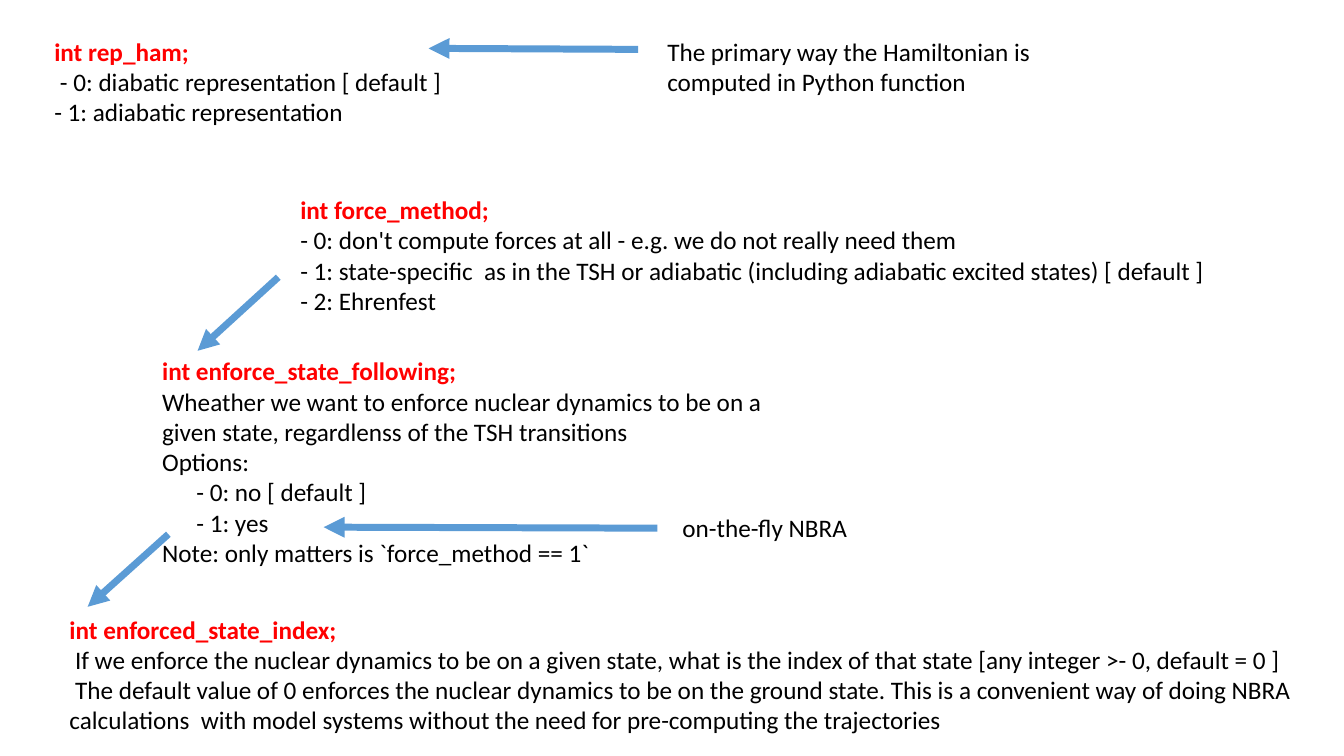
import pptx
import pptx.dml.color
import pptx.enum.dml
import pptx.enum.shapes
import pptx.enum.text
import pptx.oxml.ns
import pptx.util
from lxml import etree
from pptx.util import Inches

COLORS = {"declaration": "FF0000", "body": "000000", "arrow": "5B9BD5"}
FONT = "Calibri"
OPTION_INDENT = Inches(0.34)

# Each parameter: box, declaration, description lines, indices of indented lines
PARAMETERS = [
    ((0.44, 0.31, 4.63, 1.01), "int rep_ham;", [
        " - 0: diabatic representation [ default ]",
        "- 1: adiabatic representation",
    ], ()),
    ((2.88, 1.88, 9.44, 1.31), "int force_method;", [
        "- 0: don't compute forces at all - e.g. we do not really need them",
        "- 1: state-specific  as in the TSH or adiabatic (including adiabatic "
        "excited states) [ default ]",
        "- 2: Ehrenfest",
    ], ()),
    ((1.51, 3.48, 6.67, 2.22), "int enforce_state_following;", [
        "Wheather we want to enforce nuclear dynamics to be on a given state, "
        "regardlenss of the TSH transitions",
        "Options:",
        "- 0: no [ default ]",
        "- 1: yes",
        "Note: only matters is `force_method == 1`",
    ], (2, 3)),
    ((0.59, 6.04, 13, 1.31), "int enforced_state_index;", [
        " If we enforce the nuclear dynamics to be on a given state, what is the "
        "index of that state [any integer >- 0, default = 0 ]",
        " The default value of 0 enforces the nuclear dynamics to be on the ground "
        "state. This is a convenient way of doing NBRA calculations  with model "
        "systems without the need for pre-computing the trajectories",
    ], ()),
]

REMARKS = [
    ((6.52, 0.31, 4.63, 0.71),
     "The primary way the Hamiltonian is computed in Python function", True),
    ((6.67, 5.03, 1.86, 0.4), "on-the-fly NBRA", False),
]

ARROWS = [
    ((6.33, 0.49), (4.25, 0.48)),
    ((2.76, 2.75), (1.96, 3.48)),
    ((6.52, 5.24), (3.21, 5.23)),
    ((1.67, 5.3), (0.87, 6.02)),
]


def add_text(slide, box, lines, wrap=True):
    """Place lines of body text in the box and return their paragraphs."""
    frame = slide.shapes.add_textbox(*map(Inches, box)).text_frame
    frame.word_wrap = wrap
    frame.auto_size = pptx.enum.text.MSO_AUTO_SIZE.SHAPE_TO_FIT_TEXT
    frame.text = "\n".join(lines)
    for paragraph in frame.paragraphs:
        for run in paragraph.runs:
            run.font.name = FONT
            run.font.size = pptx.util.Pt(18)
            run.font.color.rgb = pptx.dml.color.RGBColor.from_string(COLORS["body"])
    return frame.paragraphs


def add_parameter(slide, box, declaration, description, indented):
    heading, *details = add_text(slide, box, [declaration, *description])
    heading_font = heading.runs[0].font
    heading_font.bold = True
    heading_font.color.rgb = pptx.dml.color.RGBColor.from_string(COLORS["declaration"])
    for index in indented:
        properties = details[index]._p.get_or_add_pPr()
        properties.set("marL", str(OPTION_INDENT))
        properties.set("indent", "0")


def add_arrow(slide, start, end):
    arrow = slide.shapes.add_connector(
        pptx.enum.shapes.MSO_CONNECTOR.STRAIGHT, *map(Inches, start + end))
    arrow.line.width = pptx.util.Pt(5)
    arrow.line.color.rgb = pptx.dml.color.RGBColor.from_string(COLORS["arrow"])
    qn = pptx.oxml.ns.qn
    etree.SubElement(arrow.line._get_or_add_ln(), qn("a:tailEnd"), type="triangle")
    etree.SubElement(arrow._element.spPr, qn("a:effectLst"))


def build_parameter_slide(slide):
    for parameter in PARAMETERS:
        add_parameter(slide, *parameter)
    for box, remark, wrap in REMARKS:
        add_text(slide, box, [remark], wrap)
    for start, end in ARROWS:
        add_arrow(slide, start, end)


def main():
    presentation = pptx.Presentation()
    presentation.slide_width = Inches(13.33)
    presentation.slide_height = Inches(7.5)
    build_parameter_slide(presentation.slides.add_slide(presentation.slide_layouts[6]))
    presentation.save("out.pptx")


if __name__ == "__main__":
    main()
